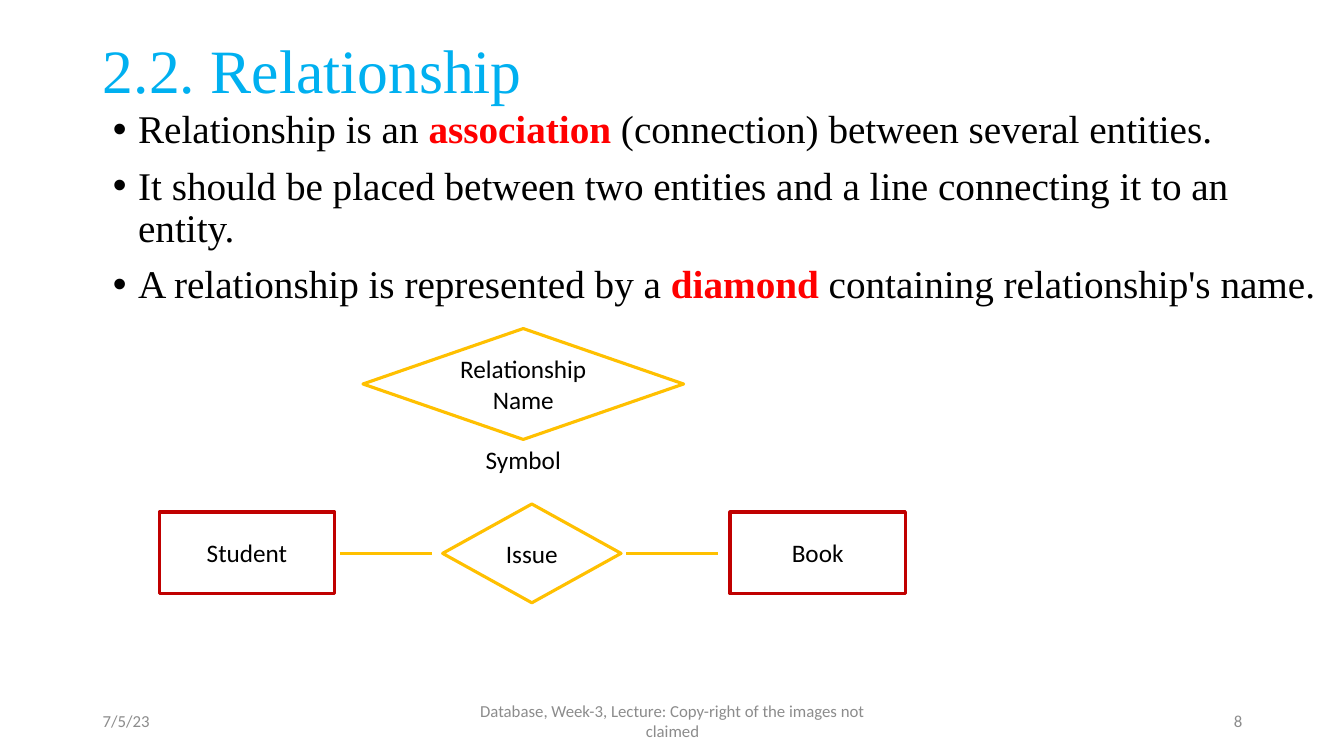
from lxml.etree import SubElement
from pptx import Presentation
from pptx.dml.color import RGBColor
from pptx.enum.shapes import MSO_CONNECTOR, MSO_SHAPE
from pptx.enum.text import MSO_ANCHOR, MSO_AUTO_SIZE, PP_ALIGN
from pptx.oxml.ns import qn
from pptx.util import Emu, Pt

PX = 9144  # 100 px to the inch
BLACK = RGBColor(0x00, 0x00, 0x00)
SKY = RGBColor(0x00, 0xB0, 0xF0)
RED = RGBColor(0xFF, 0x00, 0x00)
GOLD = RGBColor(0xFF, 0xC0, 0x00)
CRIMSON = RGBColor(0xC0, 0x00, 0x00)
GRAY = RGBColor(0x8C, 0x8C, 0x8C)
HEADING_FONT = "Times New Roman"
LABEL_FONT = "Calibri"
LINE_WIDTH = Pt(2.25)

# Each point is a list of (text, is keyword) runs.
POINTS = [
    [("Relationship is an ", False), ("association", True),
     (" (connection) between several entities.", False)],
    [("It should be placed between two entities and a line connecting it to an entity.", False)],
    [("A relationship is represented by a ", False), ("diamond", True),
     (" containing relationship's name.", False)],
]


def px(*lengths):
    return [Emu(length * PX) for length in lengths]


def style(paragraph, font_name, size, color, alignment):
    paragraph.alignment = alignment
    paragraph.font.name = font_name
    paragraph.font.size = Pt(size)
    paragraph.font.color.rgb = color


def place(shape, box):
    shape.left, shape.top, shape.width, shape.height = px(*box)


def fill_title(title, box):
    place(title, box)
    frame = title.text_frame
    frame.text = "2.2. Relationship"
    frame.auto_size = MSO_AUTO_SIZE.NONE
    frame.vertical_anchor = MSO_ANCHOR.MIDDLE
    paragraph = frame.paragraphs[0]
    style(paragraph, HEADING_FONT, 44, SKY, PP_ALIGN.LEFT)
    paragraph.line_spacing = 0.9


def fill_points(body, box):
    place(body, box)
    frame = body.text_frame
    frame.auto_size = MSO_AUTO_SIZE.NONE
    for index, runs in enumerate(POINTS):
        paragraph = frame.add_paragraph() if index else frame.paragraphs[0]
        style(paragraph, HEADING_FONT, 28, BLACK, PP_ALIGN.LEFT)
        paragraph.line_spacing = 0.9
        paragraph.space_before = Pt(10)
        properties = paragraph._p.get_or_add_pPr()
        properties.set("marL", str(25 * PX))
        properties.set("indent", str(-25 * PX))
        for text, is_keyword in runs:
            run = paragraph.add_run()
            run.text = text
            if is_keyword:
                run.font.bold = True
                run.font.color.rgb = RED


def add_label(slide, box, text, size=18, color=BLACK, alignment=PP_ALIGN.CENTER):
    label = slide.shapes.add_textbox(*px(*box))
    frame = label.text_frame
    frame.word_wrap = True
    frame.vertical_anchor = MSO_ANCHOR.MIDDLE
    frame.text = text
    style(frame.paragraphs[0], LABEL_FONT, size, color, alignment)


def add_node(slide, kind, box, text, color):
    node = slide.shapes.add_shape(kind, *px(*box))
    node.shadow.inherit = False
    node.fill.background()
    node.line.color.rgb = color
    node.line.width = LINE_WIDTH
    frame = node.text_frame
    frame.word_wrap = True
    frame.vertical_anchor = MSO_ANCHOR.MIDDLE
    frame.text = text
    style(frame.paragraphs[0], LABEL_FONT, 18, BLACK, PP_ALIGN.CENTER)


def add_link(slide, left, middle, length):
    link = slide.shapes.add_connector(
        MSO_CONNECTOR.STRAIGHT, *px(left, middle, left + length, middle))
    link.line.color.rgb = GOLD
    link.line.width = LINE_WIDTH
    SubElement(link._element.spPr, qn("a:effectLst"))


def add_symbol(slide, box):
    left, top, width, height = box
    label_height, label_width = 40, 100
    diamond_height = height - label_height
    add_node(slide, MSO_SHAPE.DIAMOND, (left, top, width, diamond_height),
             "Relationship Name", GOLD)
    add_label(slide, (left + (width - label_width) // 2, top + diamond_height,
                      label_width, label_height), "Symbol")


def add_example(slide, box):
    """Draw two entities at the ends of the box, linked through a diamond."""
    left, top, width, height = box
    entity_width, entity_height, diamond_width = 174, 81, 177
    gap_before, link_length = 5, 91
    entity_top = top + (height - entity_height) // 2
    diamond_left = left + (width - diamond_width) // 2
    for entity_left, name in ((left, "Student"), (left + width - entity_width, "Book")):
        add_node(slide, MSO_SHAPE.RECTANGLE,
                 (entity_left, entity_top, entity_width, entity_height), name, CRIMSON)
    add_node(slide, MSO_SHAPE.DIAMOND, (diamond_left, top, diamond_width, height),
             "Issue", GOLD)
    for node_right in (left + entity_width, diamond_left + diamond_width):
        add_link(slide, node_right + gap_before, top + height // 2, link_length)


def add_footer(slide, box):
    left, top, width, height = box
    side, center = 300, 450
    parts = [
        (left, side, "7/5/23", PP_ALIGN.LEFT),
        (left + (width - center) // 2, center,
         "Database, Week-3, Lecture: Copy-right of the images not claimed", PP_ALIGN.CENTER),
        (left + width - side, side, "8", PP_ALIGN.RIGHT),
    ]
    for part_left, part_width, text, alignment in parts:
        add_label(slide, (part_left, top, part_width, height), text, 12, GRAY, alignment)


def main():
    presentation = Presentation()
    presentation.slide_width, presentation.slide_height = px(1333, 750)
    slide = presentation.slides.add_slide(presentation.slide_layouts[1])
    fill_title(slide.shapes.title, (92, 0, 1150, 145))
    fill_points(slide.placeholders[1], (102, 104, 1222, 611))
    add_symbol(slide, (360, 326, 318, 150))
    add_example(slide, (158, 500, 740, 98))
    add_footer(slide, (92, 695, 1150, 40))
    presentation.save("out.pptx")


if __name__ == "__main__":
    main()
